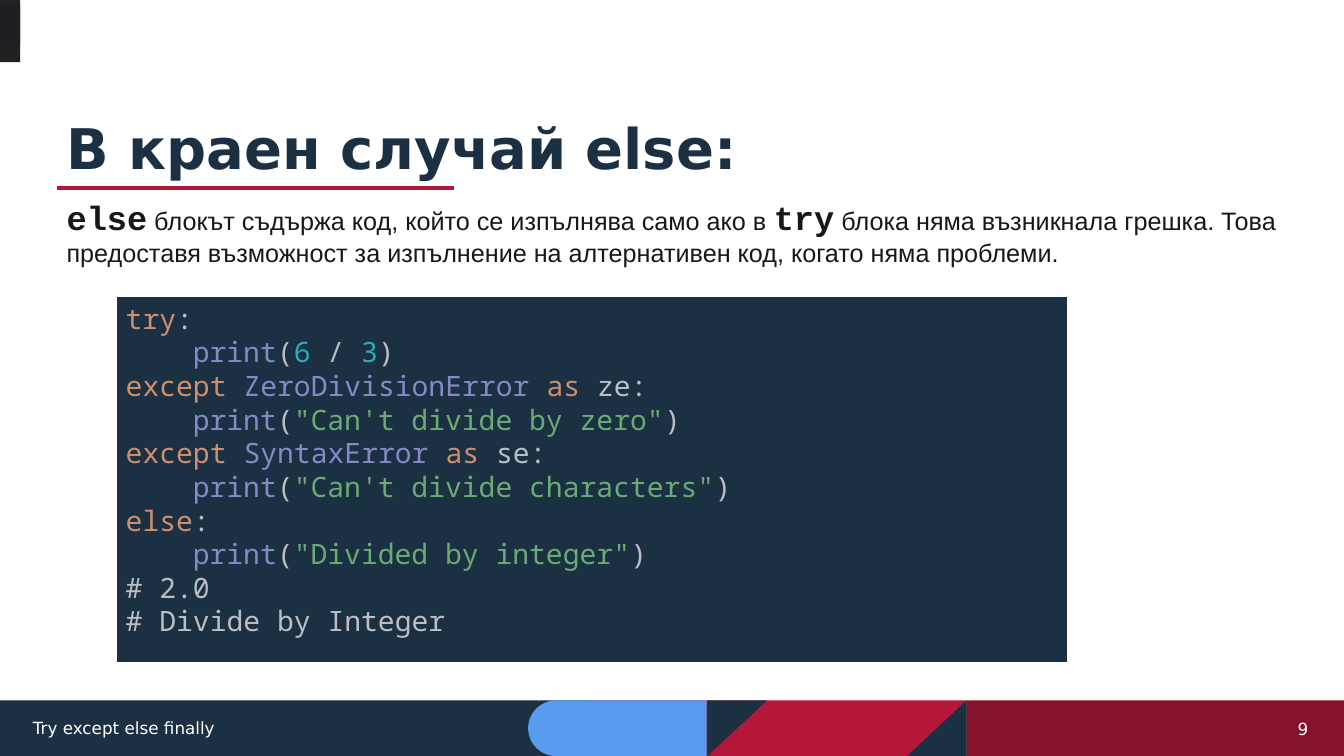
"""Builds the slide on the else block of Python exception handling."""
from pptx import Presentation
from pptx.dml.color import RGBColor
from pptx.enum import shapes, text
from pptx.oxml import parse_xml
from pptx.oxml.ns import nsdecls
from pptx.util import Cm, Pt


class Theme:
    navy, crimson, maroon, sky = "1B3043", "B51739", "85112B", "579BEF"
    white, ink, tab, tab_core = "FFFFFF", "181818", "212121", "1E1F22"
    keyword, builtin, plain = "CF8E6D", "8888C6", "BCBEC4"
    number, string = "2AACB8", "6AAB73"
    sans, body_font, mono, code_font = "DejaVu Sans", "Arial", "Courier New", "Noto Sans Mono"
    title_size, term_size, code_size, body_size, footer_size = 40, 24, 20, 18, 12


def add_block(kind, left, top, width, height, color):
    block = page.shapes.add_shape(kind, Cm(left), Cm(top), Cm(width), Cm(height))
    block.shadow.inherit = False
    block.fill.solid()
    block.fill.fore_color.rgb = RGBColor.from_string(color)
    block.line.fill.background()
    return block


def add_span(para, wording, font, size, color, bold=False):
    span = para.add_run()
    span.text = wording
    span.font.name = font
    span.font.size = Pt(size)
    span.font.bold = bold
    span.font.color.rgb = RGBColor.from_string(color)


deck = Presentation()
deck.slide_width, deck.slide_height = Cm(33.87), Cm(19.05)
page = deck.slides.add_slide(deck.slide_layouts[6])
kinds = shapes.MSO_SHAPE

bar_top, bar_height = 17.65, 1.4
for left, width, color in [
    (0, 14.86, Theme.navy),
    (24.36, 9.51, Theme.maroon),
    (14.86, 9.5, Theme.crimson),
]:
    add_block(kinds.RECTANGLE, left, bar_top, width, bar_height, color)

right_corner = add_block(kinds.RIGHT_TRIANGLE, 22.86, bar_top, 1.5, bar_height, Theme.navy)
right_corner.element.spPr.xfrm.set("flipH", "1")
pill = add_block(kinds.ROUND_2_SAME_RECTANGLE, 14.86, 16.1, 1.4, 4.5, Theme.sky)
pill.rotation = 270
pill.adjustments[0] = 0.5
left_corner = add_block(kinds.RIGHT_TRIANGLE, 17.83, bar_top, 1.5, bar_height, Theme.navy)
left_corner.element.spPr.xfrm.set("flipV", "1")

underline = page.shapes.add_connector(
    shapes.MSO_CONNECTOR.STRAIGHT, Cm(1.43), Cm(4.73), Cm(11.43), Cm(4.73))
underline.line.color.rgb = RGBColor.from_string(Theme.crimson)
underline.line.width = Pt(3)
underline.element.spPr.append(parse_xml(f"<a:effectLst {nsdecls('a')}/>"))

title_style = (Theme.sans, Theme.title_size, Theme.navy, True)
term_style = (Theme.mono, Theme.term_size, Theme.ink, True)
body_style = (Theme.body_font, Theme.body_size, Theme.ink)
footer_style = (Theme.sans, Theme.footer_size, Theme.white)
anchors, aligns = text.MSO_ANCHOR, text.PP_ALIGN
for place, anchor, align, spacing, spans in [
    ((1.43, 1.02, 31, 3.68), anchors.BOTTOM, aligns.LEFT, 0.9,
     [("В краен случай else:", title_style)]),
    ((1.43, 4.83, 31, 3.68), anchors.TOP, aligns.LEFT, 1.0,
     [("else", term_style),
      (" блокът съдържа код, който се изпълнява само ако в ", body_style),
      ("try", term_style),
      (" блока няма възникнала грешка. Това предоставя възможност за изпълнение "
       "на алтернативен код, когато няма проблеми.", body_style)]),
    ((24.94, 17.86, 8.28, 1.02), anchors.MIDDLE, aligns.RIGHT, 1.0, [("9", footer_style)]),
    ((0.58, 17.84, 12.37, 1.02), anchors.MIDDLE, aligns.LEFT, 1.0,
     [("Try except else finally", footer_style)]),
]:
    box = page.shapes.add_textbox(*map(Cm, place))
    box.text_frame.word_wrap = True
    box.text_frame.vertical_anchor = anchor
    para = box.text_frame.paragraphs[0]
    para.alignment = align
    para.line_spacing = spacing
    for wording, style in spans:
        add_span(para, wording, *style)

keyword, builtin, plain = Theme.keyword, Theme.builtin, Theme.plain
number, string = Theme.number, Theme.string
code_lines = [
    (0, [("try", keyword), (":", plain)]),
    (1, [("print", builtin), ("(", plain), ("6 ", number), ("/ ", plain),
         ("3", number), (")", plain)]),
    (0, [("except ", keyword), ("ZeroDivisionError ", builtin), ("as ", keyword), ("ze:", plain)]),
    (1, [("print", builtin), ("(", plain), ('"Can\'t divide by zero"', string), (")", plain)]),
    (0, [("except ", keyword), ("SyntaxError ", builtin), ("as ", keyword), ("se:", plain)]),
    (1, [("print", builtin), ("(", plain), ('"Can\'t divide characters"', string), (")", plain)]),
    (0, [("else", keyword), (":", plain)]),
    (1, [("print", builtin), ("(", plain), ('"Divided by integer"', string), (")", plain)]),
    (0, [("# 2.0", plain)]),
    (0, [("# Divide by Integer", plain)]),
]
code_box = add_block(kinds.RECTANGLE, 2.92, 7.47, 24.0, 9.25, Theme.navy)
code_box.line.color.rgb = RGBColor.from_string(Theme.white)
code_box.line.width = Pt(1.5)
code_frame = code_box.text_frame
code_frame.word_wrap = True
code_frame.vertical_anchor = anchors.TOP
for index, (depth, spans) in enumerate(code_lines):
    para = code_frame.add_paragraph() if index else code_frame.paragraphs[0]
    para.alignment = aligns.LEFT
    para._p.get_or_add_pPr().set("marL", str(Cm(1.69) * depth))
    for wording, color in spans:
        add_span(para, wording, Theme.code_font, Theme.code_size, color)

add_block(kinds.RECTANGLE, 0, 0, 0.51, 1.57, Theme.tab)
add_block(kinds.RECTANGLE, 0, 0.13, 0.51, 1.02, Theme.tab_core)

deck.save("out.pptx")
